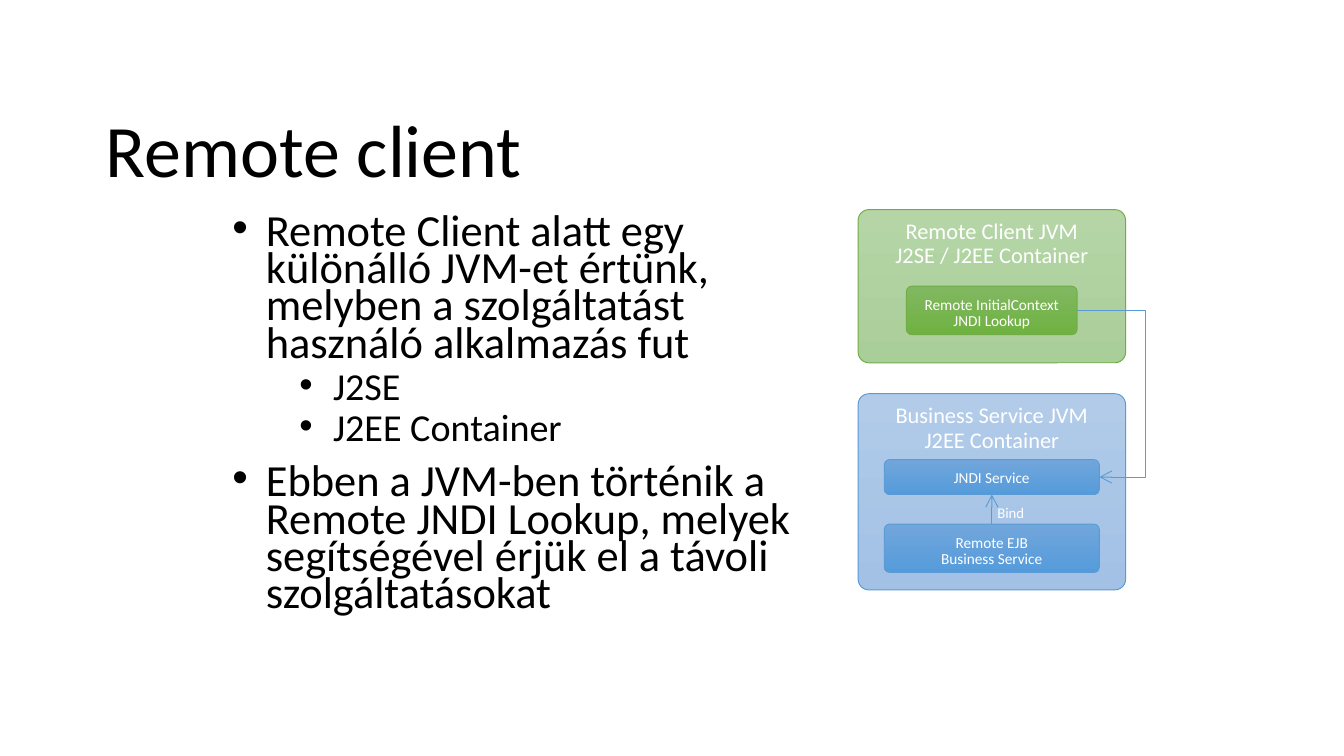
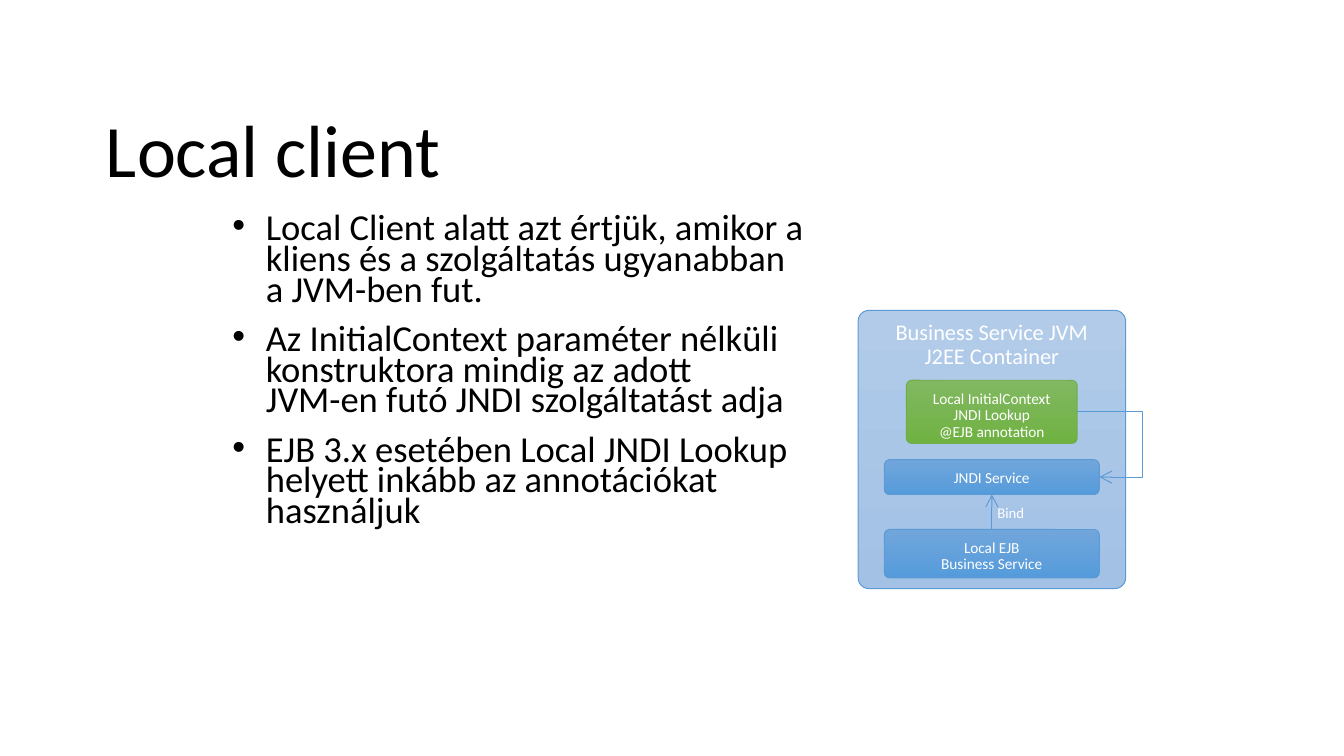
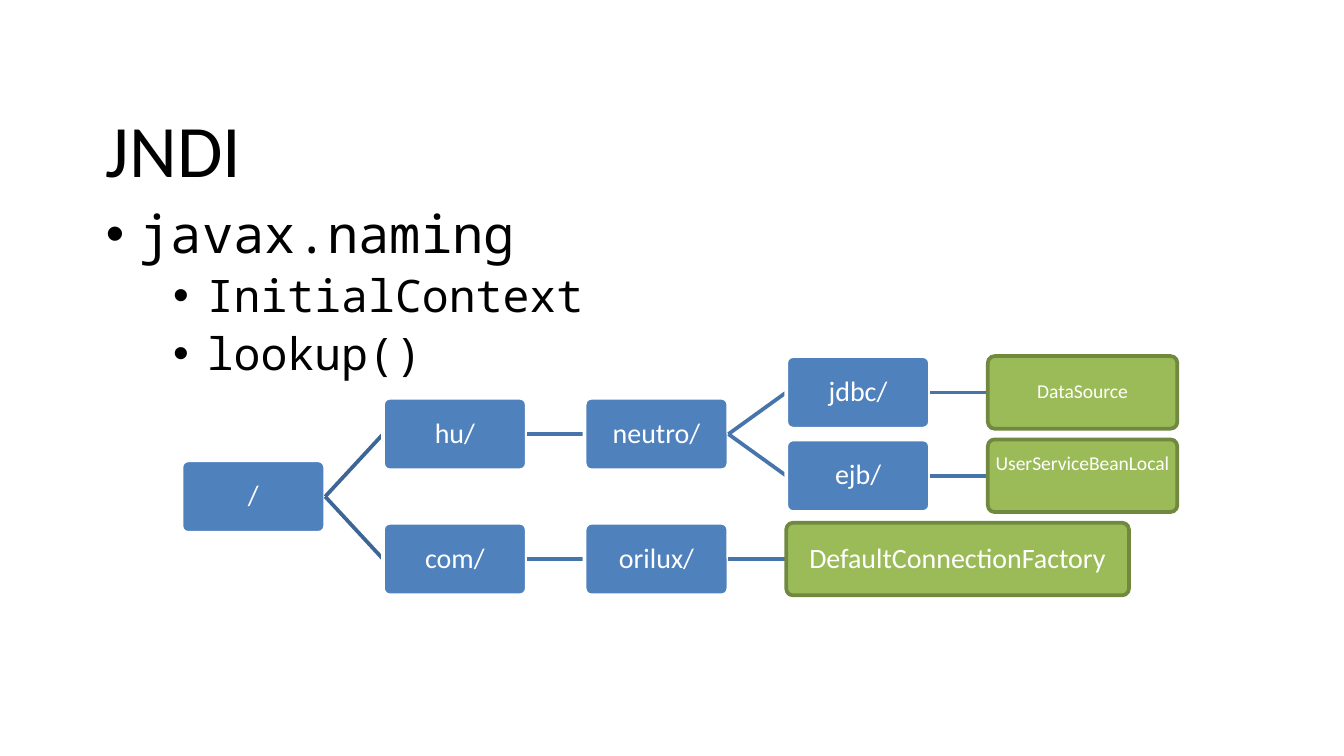
from copy import deepcopy
from itertools import count

from lxml import etree
from pptx import Presentation
from pptx.dml.color import RGBColor
from pptx.enum.shapes import MSO_CONNECTOR, MSO_SHAPE
from pptx.enum.text import MSO_ANCHOR, MSO_AUTO_SIZE, PP_ALIGN
from pptx.oxml.ns import qn
from pptx.util import Inches, Pt

ROUNDED = MSO_SHAPE.ROUNDED_RECTANGLE
STRAIGHT, ELBOW = MSO_CONNECTOR.STRAIGHT, MSO_CONNECTOR.ELBOW
TOP, MIDDLE = MSO_ANCHOR.TOP, MSO_ANCHOR.MIDDLE
CENTER = PP_ALIGN.CENTER

# Shared look
SLIDE_WIDTH = 10
SLIDE_HEIGHT = SLIDE_WIDTH * 9 / 16
COLORS = {
    "text": "000000", "white": "FFFFFF", "green": "70AD47", "blue": "5B9BD5",
    "node": "4F81BD", "leaf": "9BBB59", "leaf_line": "71893F",
    "root_link": "3D6696", "link": "4774AB",
}
SANS, MONO = "Calibri", "Noto Sans Mono"
TITLE_BOX = (0.69, 0.3, 8.62, 1.09)
NARROW_BODY = (1.63, 1.56, 4.48, 3.09)
WIDE_BODY = (0.69, 1.5, 8.62, 3.57)

# Diagram boxes: width, gradient, outline, text size, corner radius
DIAGRAM_CENTER = 7.38
BOX_STYLES = {
    "client_jvm": (1.99, ("B5D5A7", "AACE99"), "green", 12, 0.08),
    "service_jvm": (1.99, ("B1CBE9", "A3C1E5"), "blue", 12, 0.08),
    "lookup": (1.27, ("81B861", "6FB242"), "green", 8.2, 0.04),
    "service": (1.6, ("71A6DB", "559BDB"), "blue", 8.2, 0.04),
    "ejb": (1.6, ("71A6DB", "559BDB"), "blue", 8.2, 0.04),
}

# Each diagram box: style, top, height, text
JVM_TEXT = "Business Service JVM\nJ2EE Container"
CLIENT_PAGES = [
    {
        "title": "Remote client",
        "sizes": (23.8, 20.4),
        "bullets": [
            (0, "Remote Client alatt egy különálló JVM-et értünk, melyben a "
                "szolgáltatást használó alkalmazás fut"),
            (1, "J2SE"),
            (1, "J2EE Container"),
            (0, "Ebben a JVM-ben történik a Remote JNDI Lookup, melyek "
                "segítségével érjük el a távoli szolgáltatásokat"),
        ],
        "boxes": [
            ("client_jvm", 1.56, 1.14, "Remote Client JVM\nJ2SE / J2EE Container"),
            ("service_jvm", 2.93, 1.46, JVM_TEXT),
            ("lookup", 2.13, 0.36, "Remote InitialContext\nJNDI Lookup"),
            ("ejb", 3.9, 0.36, "Remote EJB\nBusiness Service"),
            ("service", 3.42, 0.26, "JNDI Service"),
        ],
        "lane": 8.52,
    },
    {
        "title": "Local client",
        "sizes": (19.6,),
        "bullets": [
            (0, "Local Client alatt azt értjük, amikor a kliens és a szolgáltatás "
                "ugyanabban a JVM-ben fut."),
            (0, "Az InitialContext paraméter nélküli konstruktora mindig az adott\n"
                "JVM-en futó JNDI szolgáltatást adja"),
            (0, "EJB 3.x esetében Local JNDI Lookup helyett inkább az annotációkat "
                "használjuk"),
        ],
        "boxes": [
            ("service_jvm", 2.31, 2.07, JVM_TEXT),
            ("lookup", 2.83, 0.47, "Local InitialContext\nJNDI Lookup\n@EJB annotation"),
            ("ejb", 3.94, 0.36, "Local EJB\nBusiness Service"),
            ("service", 3.42, 0.26, "JNDI Service"),
        ],
        "lane": 8.5,
    },
]

NAMING_BULLETS = [(0, "javax.naming"), (1, "InitialContext"), (1, "lookup()")]
# Tree branches are (label, children); leaves are (label, width, text size)
NAMING_TREE = ("/", [
    ("hu/", [
        ("neutro/", [
            ("jdbc/", [("DataSource", 1.41, 10.5)]),
            ("ejb/", [("UserServiceBeanLocal\n", 1.41, 10.5)]),
        ]),
    ]),
    ("com/", [("orilux/", [("DefaultConnectionFactory", 2.55, 15)])]),
])
TREE_LEFT, TREE_FIRST_ROW = 1.35, 2.92
COLUMN_PITCH, ROW_PITCH = 1.5, 0.62
NODE_WIDTH, NODE_HEIGHT, NODE_TEXT_SIZE = 1.07, 0.54, 15


def rgb(name):
    return RGBColor.from_string(COLORS.get(name, name))


def inches(values):
    return [Inches(value) for value in values]


def write(para, text, size, color="white", face=SANS, **layout):
    """Fill a paragraph, with line breaks that keep the text size."""
    for name, value in layout.items():
        setattr(para, name, value)
    for number, line in enumerate(text.split("\n")):
        if number:
            para.add_line_break()
        if line:
            span = para.add_run()
            span.text = line
            span.font.size, span.font.name = Pt(size), face
            span.font.color.rgb = rgb(color)
    for line_break in para._p.findall(qn("a:br")):
        line_break.append(deepcopy(span._r.rPr))
    para._p.get_or_add_endParaRPr().set("sz", str(round(size * 100)))


def set_frame(frame, inset, anchor=TOP, wrap=True):
    frame.word_wrap, frame.vertical_anchor = wrap, anchor
    for side, value in zip(("left", "top", "right", "bottom"), inset):
        setattr(frame, f"margin_{side}", Inches(value))


def add_text_box(page, place, inset=(0.1, 0.05, 0.1, 0.05), **frame_values):
    frame = page.shapes.add_textbox(*inches(place)).text_frame
    set_frame(frame, inset, **frame_values)
    return frame


def add_page(deck, title):
    page = deck.slides.add_slide(deck.slide_layouts[6])
    frame = add_text_box(page, TITLE_BOX, anchor=MIDDLE)
    write(frame.paragraphs[0], "\n" + title, 39.6, "text", line_spacing=0.9)
    return page


def add_bullets(page, place, bullets, sizes, face, line_spacing):
    frame = add_text_box(page, place)
    for number, (level, text) in enumerate(bullets):
        para = frame.add_paragraph() if number else frame.paragraphs[0]
        write(para, text, sizes[level], "text", face, level=level,
              line_spacing=line_spacing, space_before=Pt((10, 5)[level]))
        props = para._p.get_or_add_pPr()
        props.set("marL", str(Inches(0.25 + 0.5 * level)))
        props.set("indent", str(-Inches(0.25)))
        etree.SubElement(props, qn("a:buFont")).set("typeface", "Arial")
        etree.SubElement(props, qn("a:buChar")).set("char", "•")


def add_box(page, place, text, size, fill, line, line_width, radius,
            inset, anchor=TOP, space_after=6):
    box = page.shapes.add_shape(ROUNDED, *inches(place))
    box.adjustments[0] = radius / min(place[2:])
    box.shadow.inherit = False
    if isinstance(fill, tuple):
        box.fill.gradient()
        box.fill.gradient_angle = 270
        for stop, color in zip(box.fill.gradient_stops, fill):
            stop.color.rgb = rgb(color)
    else:
        box.fill.solid()
        box.fill.fore_color.rgb = rgb(fill)
    box.line.color.rgb, box.line.width = rgb(line), Pt(line_width)
    # A rounded box already insets its text by a share of the radius
    set_frame(box.text_frame, [inset - 0.29 * radius] * 4, anchor)
    write(box.text_frame.paragraphs[0], text, size, alignment=CENTER,
          line_spacing=0.9, space_after=Pt(space_after))


def add_line(page, start, end, color, width, arrow=False, lane=None):
    kind = ELBOW if lane else STRAIGHT
    line = page.shapes.add_connector(kind, *inches(start + end))
    line.line.color.rgb, line.line.width = rgb(color), Pt(width)
    props = line._element.spPr
    if arrow:
        etree.SubElement(props.find(qn("a:ln")), qn("a:tailEnd")).set("type", "arrow")
    if lane:
        share = (lane - start[0]) / (end[0] - start[0])
        guide = etree.SubElement(props.find(qn("a:prstGeom")).find(qn("a:avLst")),
                                 qn("a:gd"))
        guide.set("name", "adj1")
        guide.set("fmla", f"val {round(share * 100000)}")
    etree.SubElement(props, qn("a:effectLst"))


def add_client_diagram(page, boxes, lane):
    spots = {}
    for style, top, height, text in boxes:
        width, fill, line, size, radius = BOX_STYLES[style]
        left = DIAGRAM_CENTER - width / 2
        spots[style] = (left + width, top, height)
        add_box(page, (left, top, width, height), text, size, fill, line,
                0.5, radius, inset=0.08)

    # Bind arrow with its label
    service_right, service_top, service_height = spots["service"]
    add_line(page, (DIAGRAM_CENTER, spots["ejb"][1]),
             (DIAGRAM_CENTER, service_top + service_height), "blue", 0.5, arrow=True)
    frame = add_text_box(page, (7.35, 3.71, 0.35, 0.21),
                         inset=(0.07, 0.04, 0.07, 0.04), wrap=False)
    frame.auto_size = MSO_AUTO_SIZE.SHAPE_TO_FIT_TEXT
    write(frame.paragraphs[0], "Bind", 7.9)

    # Lookup arrow around the right side
    lookup_right, lookup_top, lookup_height = spots["lookup"]
    add_line(page, (lookup_right, lookup_top + lookup_height / 2),
             (service_right, service_top + service_height / 2),
             "blue", 0.5, arrow=True, lane=lane)


def place_node(node, rows, depth=0):
    """Leaves take the next row; a parent sits midway between its children."""
    is_leaf = len(node) == 3
    children = [] if is_leaf else [place_node(child, rows, depth + 1)
                                   for child in node[1]]
    if is_leaf:
        middle = TREE_FIRST_ROW + next(rows) * ROW_PITCH
    else:
        middle = sum(child["middle"] for child in children) / len(children)
    width, size = node[1:] if is_leaf else (NODE_WIDTH, NODE_TEXT_SIZE)
    return {"text": node[0], "width": width, "size": size, "children": children,
            "left": TREE_LEFT + depth * COLUMN_PITCH, "middle": middle}


def draw_node(page, node, link="root_link"):
    fill, line = ("node", "white") if node["children"] else ("leaf", "leaf_line")
    add_box(page, (node["left"], node["middle"] - NODE_HEIGHT / 2,
                   node["width"], NODE_HEIGHT),
            node["text"], node["size"], fill, line, 2, 0.05,
            inset=0.03 * node["size"] / NODE_TEXT_SIZE, anchor=MIDDLE,
            space_after=6 * node["size"] / NODE_TEXT_SIZE)
    for child in node["children"]:
        add_line(page, (node["left"] + node["width"], node["middle"]),
                 (child["left"], child["middle"]), link, 2)
        draw_node(page, child, "link")


def main():
    deck = Presentation()
    deck.slide_width, deck.slide_height = inches((SLIDE_WIDTH, SLIDE_HEIGHT))
    for content in CLIENT_PAGES:
        page = add_page(deck, content["title"])
        add_bullets(page, NARROW_BODY, content["bullets"], content["sizes"], SANS, 0.7)
        add_client_diagram(page, content["boxes"], content["lane"])

    page = add_page(deck, "JNDI")
    add_bullets(page, WIDE_BODY, NAMING_BULLETS, (28, 24), MONO, 0.9)
    draw_node(page, place_node(NAMING_TREE, count()))
    deck.save("out.pptx")


if __name__ == "__main__":
    main()
